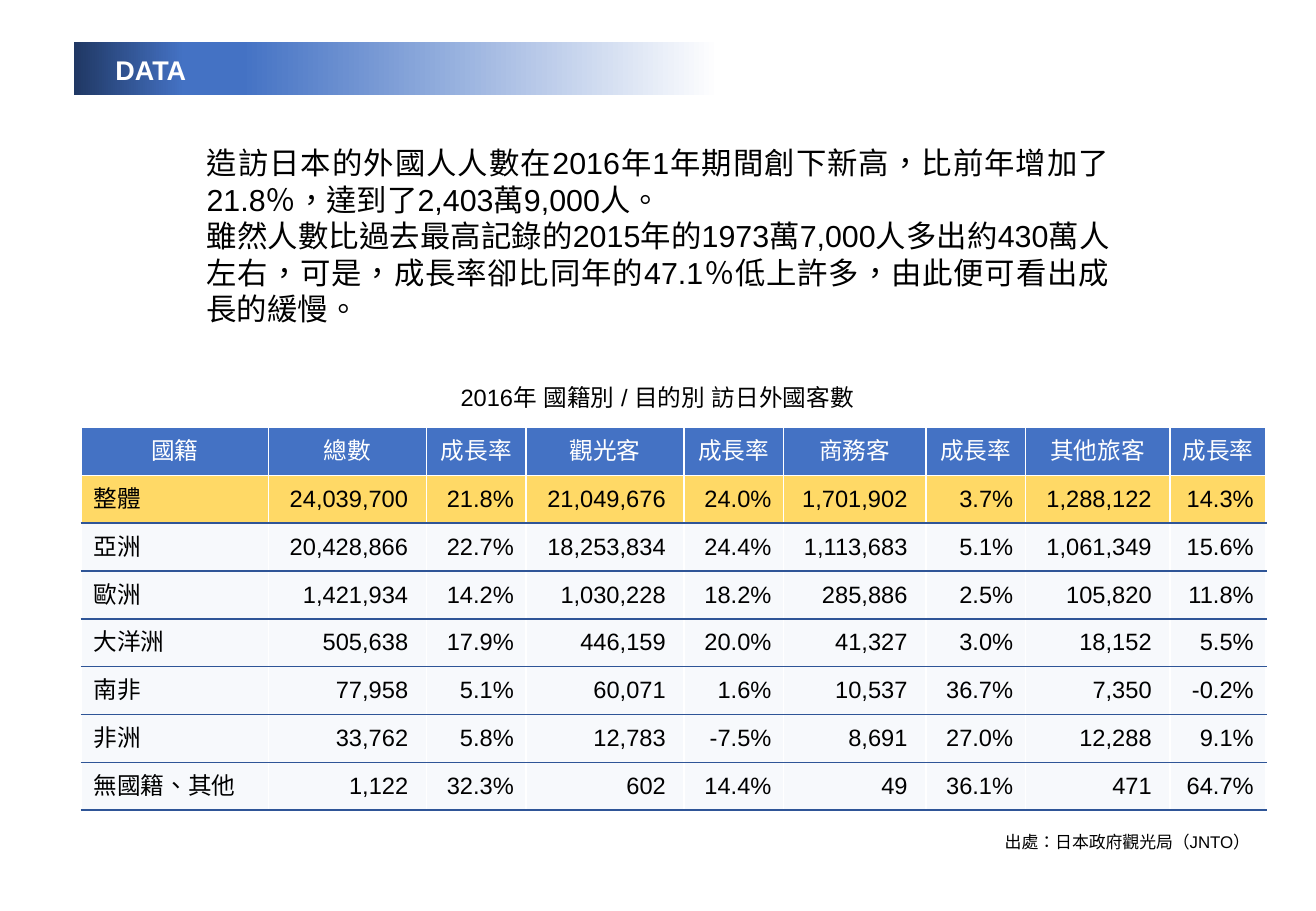
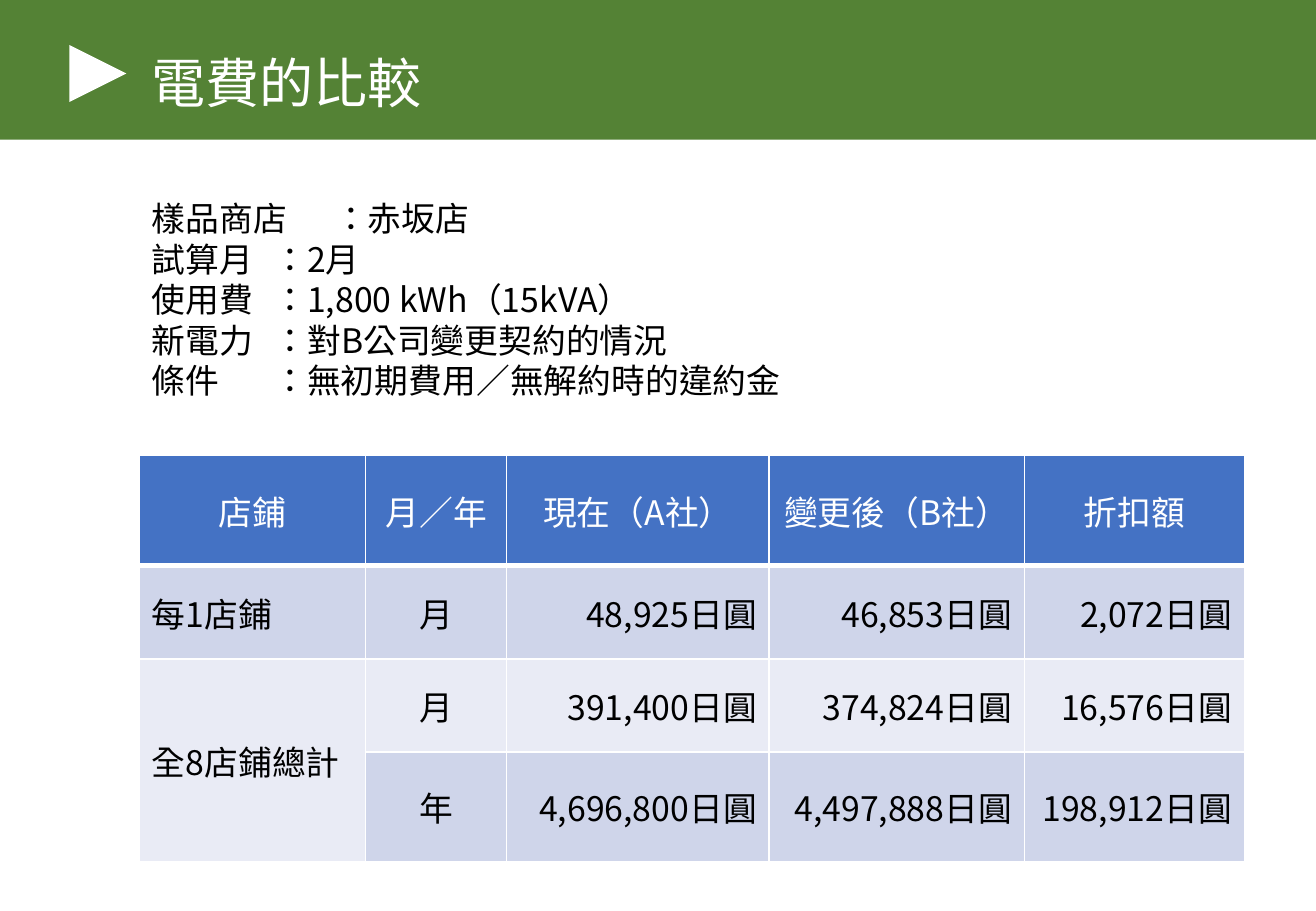
from lxml import etree
from pptx import Presentation
from pptx.dml.color import RGBColor
from pptx.enum.shapes import MSO_SHAPE
from pptx.enum.text import MSO_ANCHOR, MSO_AUTO_SIZE, PP_ALIGN
from pptx.oxml.ns import qn
from pptx.util import Pt

PX = 9144  # one px is a hundredth of an inch
SLIDE_WIDTH, SLIDE_HEIGHT = 1083, 750
LEFT, CENTER, RIGHT = PP_ALIGN.LEFT, PP_ALIGN.CENTER, PP_ALIGN.RIGHT
JUSTIFY = PP_ALIGN.JUSTIFY
TOP, MIDDLE = MSO_ANCHOR.TOP, MSO_ANCHOR.MIDDLE
NO_AUTOFIT = MSO_AUTO_SIZE.NONE
RECTANGLE, TRIANGLE = MSO_SHAPE.RECTANGLE, MSO_SHAPE.ISOSCELES_TRIANGLE
PROCESS = MSO_SHAPE.FLOWCHART_PROCESS
TITLE_AND_CONTENT = 1

COLORS = {
    "white": "FFFFFF", "black": "000000", "blue": "4472C4",
    "navy": "203864", "rule": "2F5597", "gold": "FFD966",
    "pale": "DAE3F3", "band_dark": "CFD5EA", "band_light": "E9EBF5",
    "green": "548235",
}
ARIAL, NOTO = "Arial", "Noto Sans CJK SC"

# Text formats
DATA_TITLE = {"name": ARIAL, "size": Pt(16), "bold": True, "color": "white"}
DATA_BODY = {"name": ARIAL, "size": Pt(18), "color": "black"}
DATA_CAPTION = {"name": ARIAL, "size": Pt(14), "color": "black"}
DATA_SOURCE = {"name": ARIAL, "size": Pt(10), "color": "black"}
DATA_HEADER = {**DATA_CAPTION, "bold": False, "color": "white"}
COST_TITLE = {"name": NOTO, "size": Pt(32), "color": "white"}
COST_BODY = {"name": NOTO, "size": Pt(20), "color": "black"}
COST_HEADER = {**COST_BODY, "bold": False, "color": "white"}

# Visitor table
VISITOR_COLUMNS = [154, 130, 82, 130, 82, 117, 82, 119, 79]
VISITOR_ROWS = [
    ["國籍", "總數", "成長率", "觀光客", "成長率", "商務客", "成長率", "其他旅客", "成長率"],
    ["整體", "24,039,700", "21.8%", "21,049,676", "24.0%", "1,701,902", "3.7%", "1,288,122", "14.3%"],
    ["亞洲", "20,428,866", "22.7%", "18,253,834", "24.4%", "1,113,683", "5.1%", "1,061,349", "15.6%"],
    ["歐洲", "1,421,934", "14.2%", "1,030,228", "18.2%", "285,886", "2.5%", "105,820", "11.8%"],
    ["大洋洲", "505,638", "17.9%", "446,159", "20.0%", "41,327", "3.0%", "18,152", "5.5%"],
    ["南非", "77,958", "5.1%", "60,071", "1.6%", "10,537", "36.7%", "7,350", "-0.2%"],
    ["非洲", "33,762", "5.8%", "12,783", "-7.5%", "8,691", "27.0%", "12,288", "9.1%"],
    ["無國籍、其他", "1,122", "32.3%", "602", "14.4%", "49", "36.1%", "471", "64.7%"],
]

# Electricity cost table
COST_COLUMNS = [186, 116, 216, 210, 181]
COST_ROWS = [
    ["店鋪", "月／年", "現在（A社）", "變更後（B社）", "折扣額"],
    ["每1店鋪", "月", "48,925日圓", "46,853日圓", "2,072日圓"],
    ["全8店鋪總計", "月", "391,400日圓", "374,824日圓", "16,576日圓"],
    ["", "年", "4,696,800日圓", "4,497,888日圓", "198,912日圓"],
]


def px(*lengths):
    return [length * PX for length in lengths]


def rgb(name):
    return RGBColor.from_string(COLORS[name])


def add_color(parent, name):
    return etree.SubElement(parent, qn("a:srgbClr"), val=COLORS[name])


def write_paragraph(paragraph, text, style, align=LEFT):
    paragraph.alignment = align
    run = paragraph.add_run()
    run.text = text
    for attribute, value in style.items():
        if attribute == "color":
            run.font.color.rgb = rgb(value)
        else:
            setattr(run.font, attribute, value)
    properties = run._r.get_or_add_rPr()
    properties.set("lang", "zh-TW")
    etree.SubElement(properties, qn("a:ea"), typeface=style["name"])


def fill_text(shape, box, lines, style, align=LEFT, spacing=None, tab=None):
    """Place a text shape and write one paragraph per line."""
    shape.left, shape.top, shape.width, shape.height = px(*box)
    frame = shape.text_frame
    frame.word_wrap = True
    frame.auto_size = NO_AUTOFIT
    frame.vertical_anchor = TOP
    for index, line in enumerate(lines):
        paragraph = frame.add_paragraph() if index else frame.paragraphs[0]
        paragraph.space_before = Pt(0)
        if spacing:
            paragraph.line_spacing = spacing
        properties = paragraph._p.get_or_add_pPr()
        properties.set("marL", "0")
        properties.set("indent", "0")
        etree.SubElement(properties, qn("a:buNone"))
        if tab:
            tabs = etree.SubElement(properties, qn("a:tabLst"))
            etree.SubElement(tabs, qn("a:tab"), pos=str(tab * PX), algn="l")
        write_paragraph(paragraph, line, style, align)


def add_text(slide, box, text, style, align=LEFT):
    fill_text(slide.shapes.add_textbox(*px(*box)), box, [text], style, align)


def add_backdrop(slide, kind, box, color):
    """Add a plain shape behind the placeholders."""
    shape = slide.shapes.add_shape(kind, *px(*box))
    shape.shadow.inherit = False
    shape.line.fill.background()
    shape.fill.solid()
    shape.fill.fore_color.rgb = rgb(color)
    title = slide.shapes.title._element
    title.addprevious(shape._element)
    return shape


def set_gradient(shape, stops, angle):
    shape.fill.gradient()
    shape.fill.gradient_angle = angle
    stop_list = shape._element.spPr.find(qn("a:gradFill")).find(qn("a:gsLst"))
    for stop in list(stop_list):
        stop_list.remove(stop)
    for percent, color in stops:
        stop = etree.SubElement(stop_list, qn("a:gs"), pos=str(percent * 1000))
        add_color(stop, color)


def set_borders(cell, borders):
    """Draw cell borders from (side, colour, points) in schema order."""
    properties = cell._tc.get_or_add_tcPr()
    for index, (side, color, points) in enumerate(borders):
        line = etree.Element(qn("a:ln" + side), w=str(Pt(points)))
        add_color(etree.SubElement(line, qn("a:solidFill")), color)
        properties.insert(index, line)


def set_cell_fill(cell, color, alpha=None):
    cell.fill.solid()
    cell.fill.fore_color.rgb = rgb(color)
    if alpha:
        color_element = cell._tc.tcPr.find(qn("a:solidFill"))[0]
        etree.SubElement(color_element, qn("a:alpha"), val=str(alpha * 1000))


def add_table(slide, left, top, height, columns, rows, format_cell):
    """Add a table; format_cell gives style, align, fill, borders, right margin."""
    box = px(left, top, sum(columns), height)
    table = slide.shapes.add_table(len(rows), len(columns), *box).table
    table.horz_banding = False
    for column, width in zip(table.columns, columns):
        column.width = width * PX
    for row_index, values in enumerate(rows):
        table.rows[row_index].height = height * PX // len(rows)
        for column_index, value in enumerate(values):
            cell = table.cell(row_index, column_index)
            style, align, fill, borders, margin = format_cell(row_index, column_index)
            cell.vertical_anchor = MIDDLE
            cell.margin_right = margin * PX
            set_borders(cell, borders)
            set_cell_fill(cell, *fill)
            if value:
                write_paragraph(cell.text_frame.paragraphs[0], value, style, align)
    return table


def format_visitor_cell(row, column):
    sides = [("L", "white", 1), ("R", "white", 1)]
    upper = "white" if row == 1 else "rule"
    if row == 0:
        return DATA_HEADER, CENTER, ("blue",), sides + [("B", "white", 1)], 10
    borders = sides + [("T", upper, 1), ("B", "rule", 1)]
    fill = ("gold",) if row == 1 else ("pale", 20)
    is_count = column % 2 == 1
    return DATA_CAPTION, RIGHT if column else LEFT, fill, borders, 15 if is_count else 10


def format_cost_cell(row, column):
    widths = {"L": 1, "R": 1, "T": 3 if row == 1 else 1, "B": 1 if row else 3}
    borders = [(side, "white", width) for side, width in widths.items()]
    if row == 0:
        return COST_HEADER, CENTER, ("blue",), borders, 10
    align = (LEFT, CENTER)[column] if column < 2 else RIGHT
    fill = ("band_dark" if row % 2 else "band_light",)
    return COST_BODY, align, fill, borders, 10


def add_slide(presentation):
    slide = presentation.slides.add_slide(presentation.slide_layouts[TITLE_AND_CONTENT])
    return slide, slide.shapes.title, slide.placeholders[1]


def build_visitor_slide(presentation):
    slide, title, body = add_slide(presentation)
    band = add_backdrop(slide, PROCESS, (61, 35, 531, 43), "blue")
    set_gradient(band, [(0, "white"), (74, "blue"), (83, "blue"), (100, "navy")], 180)
    fill_text(title, (85, 39, 250, 37), ["DATA"], DATA_TITLE)
    fill_text(body, (160, 114, 763, 162), [
        "造訪日本的外國人人數在2016年1年期間創下新高，比前年增加了21.8％，達到了2,403萬9,000人。",
        "雖然人數比過去最高記錄的2015年的1973萬7,000人多出約430萬人左右，可是，"
        "成長率卻比同年的47.1％低上許多，由此便可看出成長的緩慢。",
    ], DATA_BODY, JUSTIFY)
    add_text(slide, (328, 310, 426, 34), "2016年 國籍別 / 目的別 訪日外國客數", DATA_CAPTION, CENTER)
    add_table(slide, 67, 352, 315, VISITOR_COLUMNS, VISITOR_ROWS, format_visitor_cell)
    add_text(slide, (817, 680, 225, 27), "出處：日本政府觀光局（JNTO）", DATA_SOURCE)


def build_cost_slide(presentation):
    slide, title, body = add_slide(presentation)
    add_backdrop(slide, RECTANGLE, (0, 0, SLIDE_WIDTH, 115), "green")
    add_backdrop(slide, TRIANGLE, (57, 37, 47, 47), "white").rotation = 90
    fill_text(title, (115, 36, 595, 64), ["電費的比較"], COST_TITLE, JUSTIFY, Pt(38.4))
    fill_text(body, (115, 158, 770, 178), [
        "樣品商店\t：赤坂店",
        "試算月\t：2月",
        "使用費\t：1,800 kWh（15kVA）",
        "新電力\t：對B公司變更契約的情況",
        "條件\t：無初期費用／無解約時的違約金",
    ], COST_BODY, JUSTIFY, Pt(24), 150)
    table = add_table(slide, 115, 375, 307, COST_COLUMNS, COST_ROWS, format_cost_cell)
    table.cell(2, 0).merge(table.cell(3, 0))


def main():
    presentation = Presentation()
    presentation.slide_width, presentation.slide_height = px(SLIDE_WIDTH, SLIDE_HEIGHT)
    build_visitor_slide(presentation)
    build_cost_slide(presentation)
    presentation.save("out.pptx")


if __name__ == "__main__":
    main()
